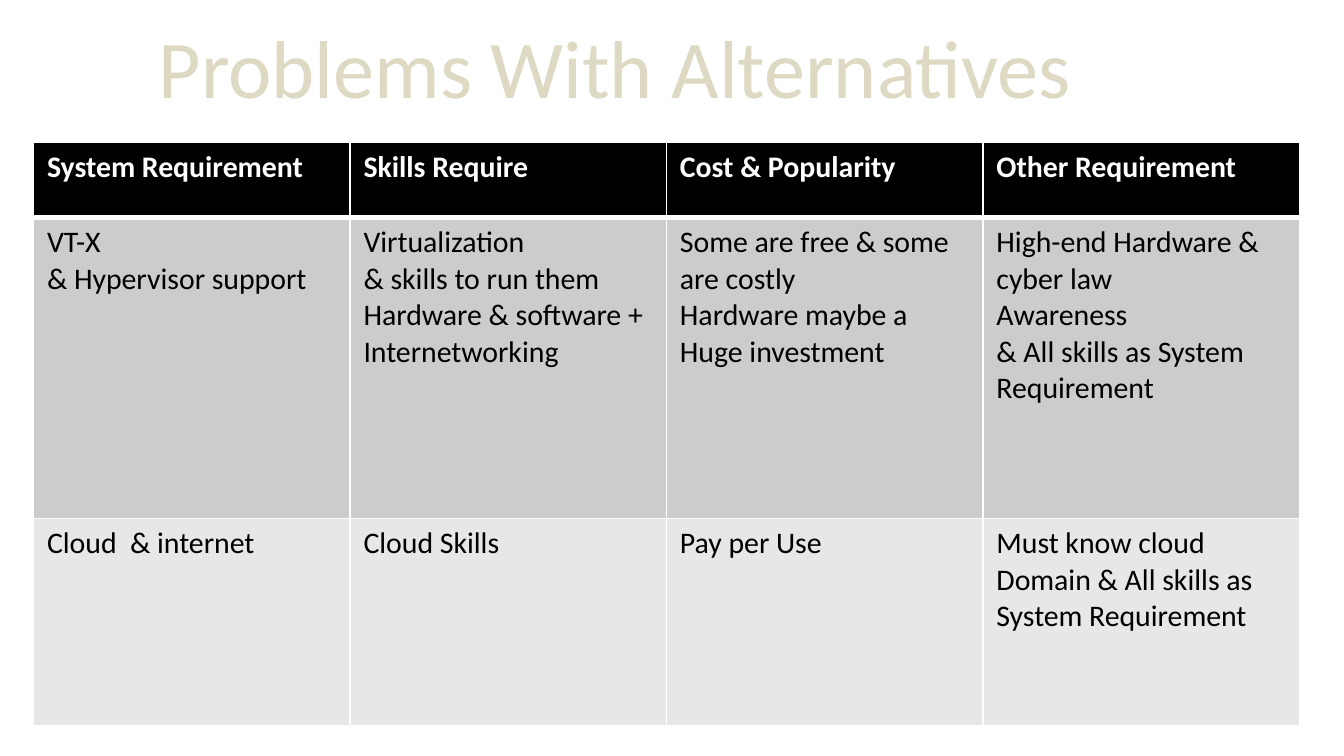
from lxml import etree
from pptx import Presentation
from pptx.dml.color import RGBColor
from pptx.enum.text import MSO_ANCHOR, PP_ALIGN
from pptx.oxml.ns import qn
from pptx.util import Inches, Pt

MIDDLE = MSO_ANCHOR.MIDDLE
CENTER = PP_ALIGN.CENTER
FONT = "Calibri"
ROW_HEIGHTS = [0.56, 2.24, 1.54]
ROW_FILLS = ["000000", "CCCCCC", "E7E7E7"]
ROWS = [
    ["System Requirement", "Skills Require", "Cost & Popularity", "Other Requirement"],
    [
        "VT-X\n& Hypervisor support",
        "Virtualization\n& skills to run them\nHardware & software + Internetworking",
        "Some are free & some are costly\nHardware maybe a Huge investment",
        "High-end Hardware & cyber law\nAwareness\n& All skills as System Requirement",
    ],
    [
        "Cloud  & internet",
        "Cloud Skills",
        "Pay per Use",
        "Must know cloud Domain & All skills as System Requirement",
    ],
]


def format_text(text_frame, size, color, bold=False):
    for paragraph in text_frame.paragraphs:
        for run in paragraph.runs:
            run.font.name = FONT
            run.font.size = Pt(size)
            run.font.bold = bold
            run.font.color.rgb = RGBColor.from_string(color)


def add_border(cell, side, width, color):
    properties = cell._tc.get_or_add_tcPr()
    line = etree.SubElement(properties, qn(f"a:ln{side}"), w=str(Pt(width)))
    fill = etree.SubElement(line, qn("a:solidFill"))
    etree.SubElement(fill, qn("a:srgbClr"), val=color)


presentation = Presentation()
presentation.slide_width = Inches(10)
presentation.slide_height = Inches(10 * 9 / 16)
slide = presentation.slides.add_slide(presentation.slide_layouts[6])

title = slide.shapes.add_textbox(Inches(0.08), Inches(0.06), Inches(9), Inches(0.85))
title.text_frame.word_wrap = True
title.text_frame.vertical_anchor = MIDDLE
title.text_frame.text = "Problems With Alternatives"
title.text_frame.paragraphs[0].alignment = CENTER
format_text(title.text_frame, 44, "DDD9C3")

table = slide.shapes.add_table(
    len(ROWS), len(ROWS[0]), Inches(0.25), Inches(1.06), Inches(9.42), Inches(sum(ROW_HEIGHTS))
).table

for row_index, texts in enumerate(ROWS):
    table.rows[row_index].height = Inches(ROW_HEIGHTS[row_index])
    is_header = row_index == 0
    for column_index, text in enumerate(texts):
        cell = table.cell(row_index, column_index)
        cell.text_frame.text = text
        format_text(cell.text_frame, 16, "FFFFFF" if is_header else "000000", is_header)
        add_border(cell, "L", 1, "FFFFFF")
        add_border(cell, "R", 1, "FFFFFF")
        add_border(cell, "T", 3 if row_index == 1 else 1, "FFFFFF")
        add_border(cell, "B", 3 if is_header else 1, "FFFFFF")
        cell.fill.solid()
        cell.fill.fore_color.rgb = RGBColor.from_string(ROW_FILLS[row_index])

presentation.save("out.pptx")
